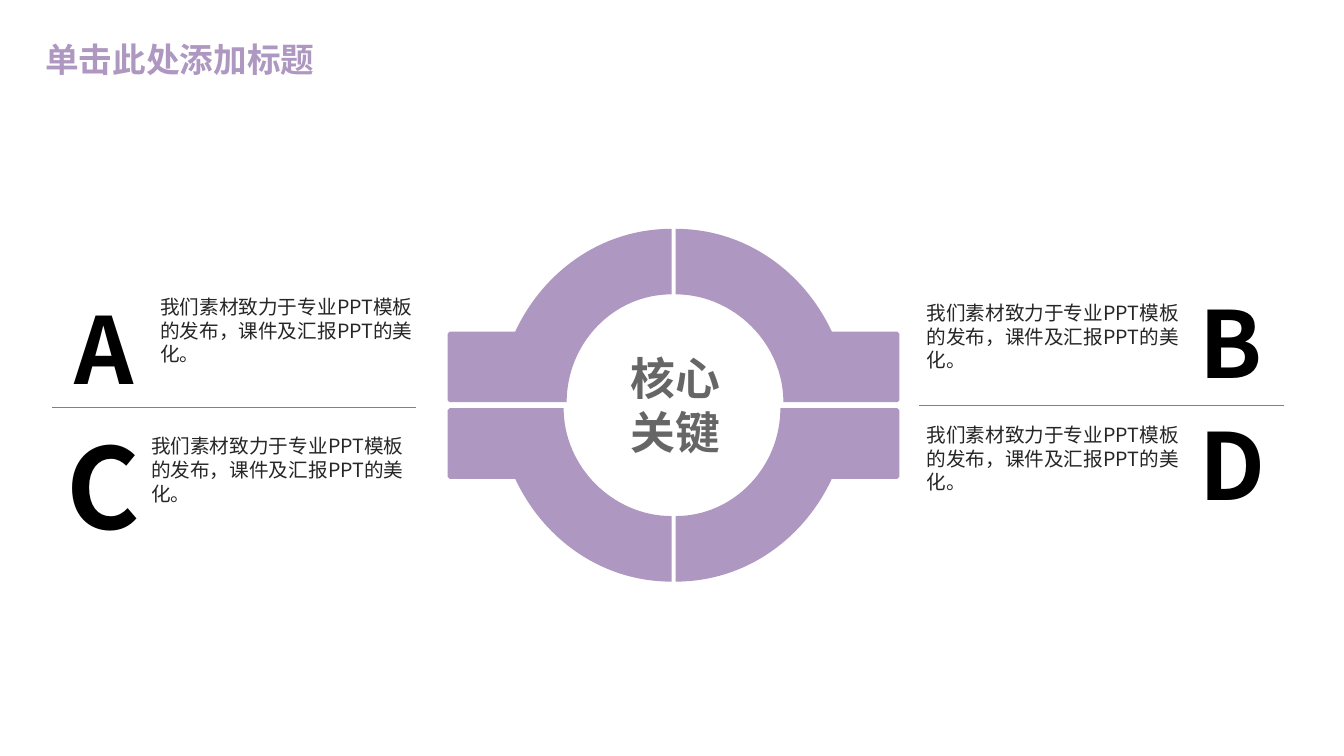
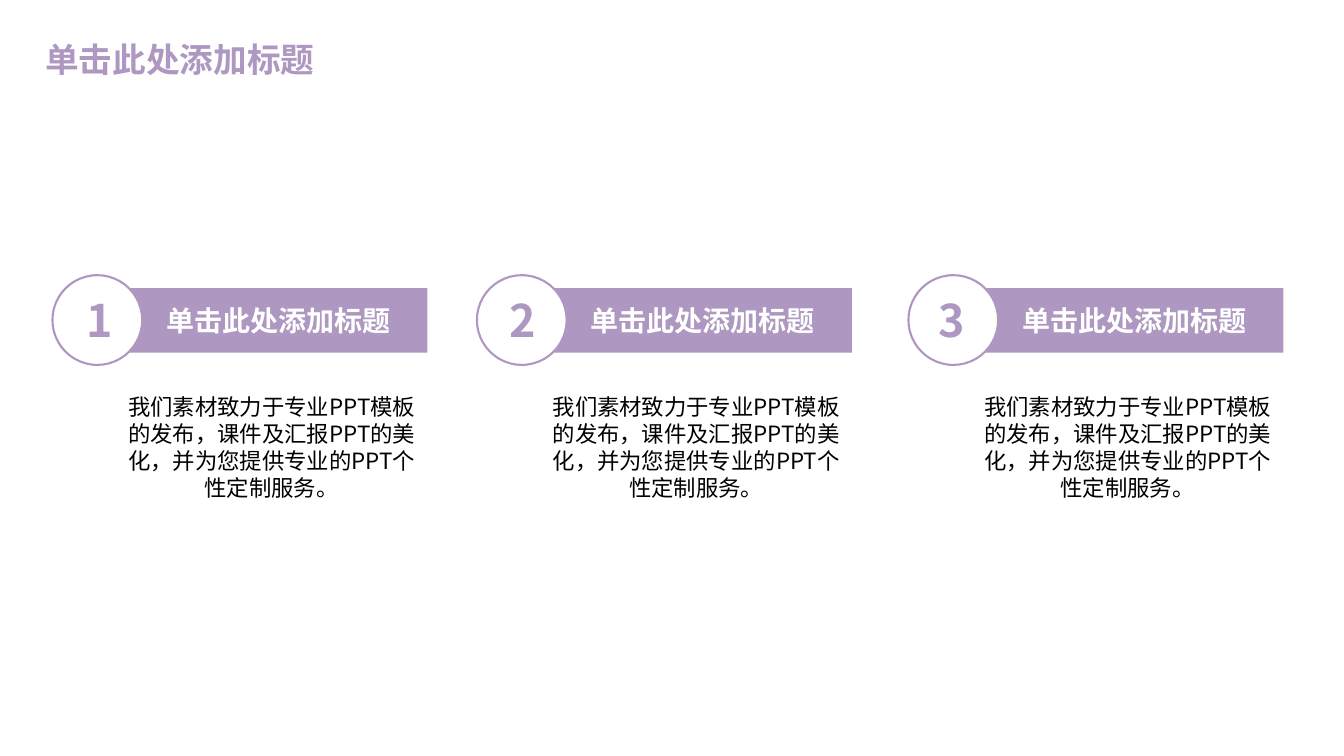
from lxml.etree import SubElement
from pptx import Presentation
from pptx.dml.color import RGBColor
from pptx.enum.shapes import MSO_CONNECTOR, MSO_SHAPE
from pptx.enum.text import MSO_ANCHOR, MSO_AUTO_SIZE, PP_ALIGN
from pptx.oxml.ns import qn
from pptx.util import Inches, Pt

FONT = "Noto Sans CJK SC"
HEX = {
    "main": "AE97C0",
    "white": "FFFFFF",
    "black": "000000",
    "text": "262626",
    "core": "666666",
    "rule": "808080",
}
TITLE = "单击此处添加标题"
BRIEF = "我们素材致力于专业PPT模板的发布，课件及汇报PPT的美化。"
DETAIL = "我们素材致力于专业PPT模板的发布，课件及汇报PPT的美化，并为您提供专业的PPT个性定制服务。"


def color(name):
    return RGBColor.from_string(HEX[name])


def write(frame, lines, size, tint, bold=False, align=PP_ALIGN.LEFT):
    """Fill a text frame with one paragraph per line."""
    for i, line in enumerate(lines):
        para = frame.add_paragraph() if i else frame.paragraphs[0]
        para.alignment = align
        run = para.add_run()
        run.text = line
        font = run.font
        font.size, font.bold = Pt(size), bold
        font.color.rgb = color(tint)
        font.name = FONT
        east = SubElement(run._r.get_or_add_rPr(), qn("a:ea"))
        east.set("typeface", FONT)


def label(slide, box, lines, size, tint, **style):
    frame = slide.shapes.add_textbox(*map(Inches, box)).text_frame
    frame.word_wrap = True
    write(frame, lines, size, tint, **style)


def paint(shape, fill, line=None):
    shape.shadow.inherit = False
    shape.fill.solid()
    shape.fill.fore_color.rgb = color(fill)
    if line:
        shape.line.color.rgb = color(line)
        shape.line.width = Pt(1.5)
    else:
        shape.line.fill.background()


def new_slide(deck):
    """Add a slide with the shared title."""
    slide = deck.slides.add_slide(deck.slide_layouts[5])
    title = slide.shapes.title
    title.left, title.top = Inches(0.35), Inches(0.34)
    title.width, title.height = Inches(3.05), Inches(0.5)
    frame = title.text_frame
    frame.auto_size = MSO_AUTO_SIZE.NONE
    frame.vertical_anchor = MSO_ANCHOR.TOP
    frame.word_wrap = False
    write(frame, [TITLE], 24, "main", bold=True)
    return slide


def rule(slide, x, y, width):
    line = slide.shapes.add_connector(
        MSO_CONNECTOR.STRAIGHT, *map(Inches, (x, y, x + width, y)))
    line.line.color.rgb = color("rule")
    line.line.width = Pt(0.5)
    SubElement(line._element.spPr, qn("a:effectLst"))


def point(slide, letter, x, y, size, dx, dy):
    """Place a large letter, and its text at an offset from it."""
    tall = 1.45 if size > 66 else 1.21
    label(slide, (x, y, 1.37, tall), [letter], size, "black", bold=True)
    label(slide, (x + dx, y + dy, 2.71, 0.81), [BRIEF], 14, "text")


def bend(shape, index, knobs):
    """Turn one line of an outline into a curve with two control points."""
    line = list(shape._element.iter(qn("a:lnTo")))[index]
    line.tag = qn("a:cubicBezTo")
    for i, (x, y) in enumerate(knobs):
        knob = line.makeelement(
            qn("a:pt"), {"x": str(x - shape.left), "y": str(y - shape.top)})
        line.insert(i, knob)


def quarter(slide, x, y, right, down):
    """Draw a quarter ring with a tab, outward from its inner corner."""
    def place(dots):
        return [(Inches(x + right * u), Inches(y + down * v))
                for u, v in dots]

    wide = 1.04 if right == down else 1.07
    dots = place([(1.55, 0.7), (2.2, 0.7), (2.22, 0.68), (2.22, 0.02),
                  (2.2, 0), (wide, 0), (0, 1.07), (0, 1.72), (1.55, 0.7)])
    pen = slide.shapes.build_freeform(*dots[0])
    pen.add_line_segments(dots[1:], close=True)
    shape = pen.convert_to_shape()
    inner = place([(wide, 0.58), (0.58, 1.07)])
    outer = place([(0.69, 1.72), (1.27, 1.3)])
    bend(shape, 7, outer)
    line_index = 5
    bend(shape, line_index, inner)
    paint(shape, "main")


def ring(slide, x, y):
    """Draw four quarters and the core words around a centre."""
    for right, down in ((-1, -1), (1, -1), (1, 1), (-1, 1)):
        quarter(slide, x + 0.02 * right, y + 0.03 * down, right, down)
    label(slide, (x - 0.52, y - 0.59, 1.26, 1.18), ["核心", "关键"],
          32, "core", bold=True)


def step(slide, x, y, i):
    """Place a numbered bar with its text below."""
    parts = (
        (MSO_SHAPE.RECTANGLE, (x + 0.74, y + 0.13, 2.98, 0.64), "main", None),
        (MSO_SHAPE.OVAL, (x, y, 0.89, 0.89), "white", "main"),
    )
    for kind, box, fill, line in parts:
        paint(slide.shapes.add_shape(kind, *map(Inches, box)), fill, line)
    label(slide, (x + 0.24 - 0.02 * i, y + 0.13, 0.41, 0.64), [str(i + 1)],
          32, "main", bold=True)
    label(slide, (x + 1.03, y + 0.23, 2.54, 0.44), [TITLE],
          20, "white", bold=True)
    label(slide, (x + 0.64, y + 1.12, 3.07, 1.18), [DETAIL],
          16, "black", align=PP_ALIGN.CENTER)


def core_slide(deck):
    slide = new_slide(deck)
    rule(slide, 0.52, 4.04, 3.61)
    rule(slide, 9.12, 4.02, 3.62)
    point(slide, "B", 11.8, 2.79, 66, -2.71, 0.15)
    point(slide, "D", 11.8, 4, 66, -2.71, 0.15)
    point(slide, "A", 0.64, 2.85, 66, 0.85, 0.03)
    point(slide, "C", 0.56, 4.09, 80, 0.84, 0.17)
    ring(slide, 6.68, 4.02)


def step_slide(deck):
    slide = new_slide(deck)
    for i, x in enumerate((0.52, 4.73, 9.01)):
        step(slide, x, 2.73, i)


def main():
    deck = Presentation()
    deck.slide_width, deck.slide_height = Inches(13.33), Inches(7.5)
    core_slide(deck)
    step_slide(deck)
    deck.save("out.pptx")


if __name__ == "__main__":
    main()
